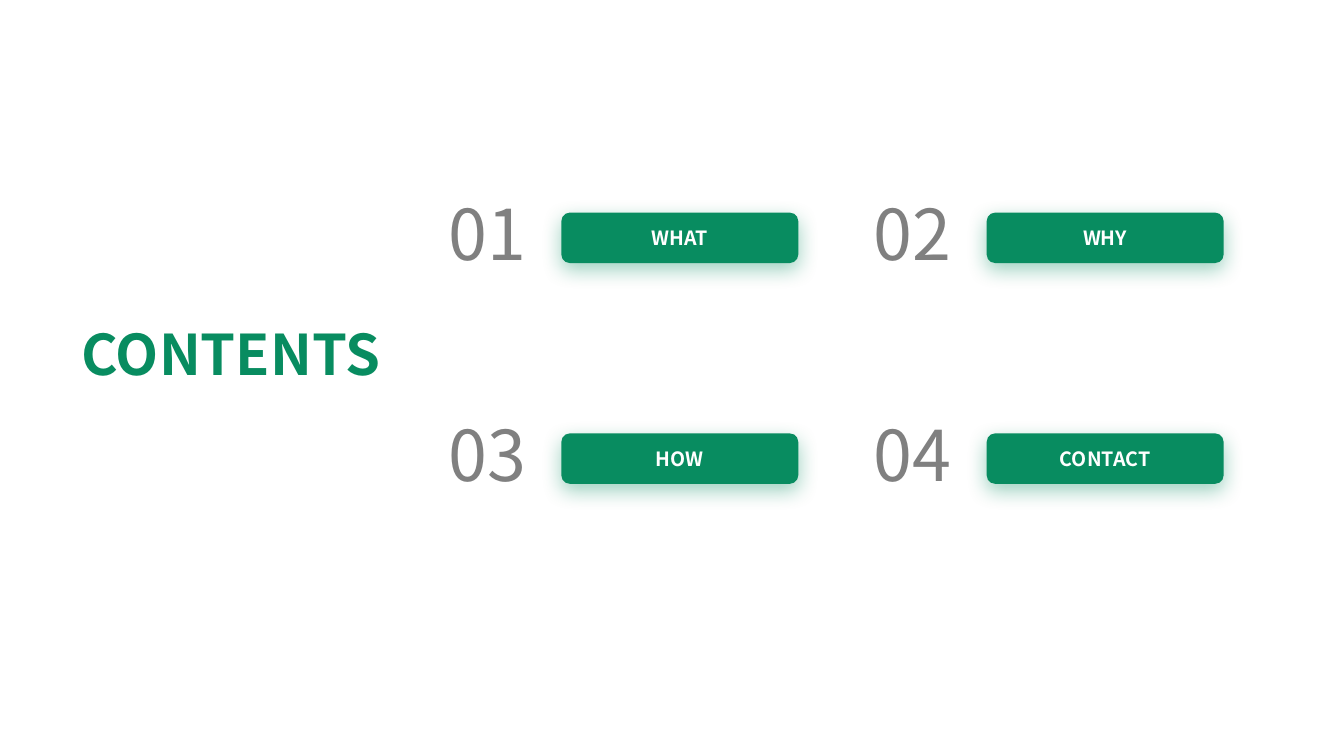
"""Build a contents slide with four numbered sections."""
from lxml.etree import SubElement
from pptx import Presentation
from pptx.dml.color import RGBColor
from pptx.enum.shapes import MSO_SHAPE
from pptx.enum.text import MSO_ANCHOR, MSO_AUTO_SIZE, PP_ALIGN
from pptx.oxml.ns import qn
from pptx.util import Pt

FONT = "Noto Sans CJK SC"
COLORS = {"green": "088C60", "gray": "808080", "white": "FFFFFF"}
SECTIONS = ["WHAT", "WHY", "HOW", "CONTACT"]
LEFT, TOP = 313.2, 132.5
COLUMN_STEP, ROW_STEP = 303.8, 157.7


def set_text(sp, text, size, color, bold=False):
    tf = sp.text_frame
    tf.text = text
    font = tf.paragraphs[0].runs[0].font
    font.name = FONT
    font.size = Pt(size)
    font.bold = bold
    font.color.rgb = RGBColor.from_string(COLORS[color])
    return tf


def add_glow(sp, color):
    sp.shadow.inherit = False
    effects = sp._element.spPr.find(qn("a:effectLst"))
    shadow = SubElement(effects, qn("a:outerShdw"), blurRad=str(Pt(15)),
                        dist=str(Pt(5)), dir="5400000", algn="t", rotWithShape="0")
    tint = SubElement(shadow, qn("a:srgbClr"), val=COLORS[color])
    SubElement(tint, qn("a:alpha"), val="40000")


prs = Presentation()
prs.slide_width, prs.slide_height = Pt(960), Pt(540)
slide = prs.slides.add_slide(prs.slide_layouts[6])

title = slide.shapes.add_textbox(Pt(51.1), Pt(224.6), Pt(244.1), Pt(55.4))
tf = set_text(title, "CONTENTS", 40, "green", bold=True)
tf.word_wrap = True
tf.auto_size = MSO_AUTO_SIZE.SHAPE_TO_FIT_TEXT

for i, section in enumerate(SECTIONS):
    row, column = divmod(i, 2)
    x = LEFT + column * COLUMN_STEP
    y = TOP + row * ROW_STEP

    number = slide.shapes.add_textbox(Pt(x), Pt(y), Pt(74.2), Pt(67.7))
    tf = set_text(number, f"{i + 1:02}", 50, "gray")
    tf.word_wrap = False
    tf.auto_size = MSO_AUTO_SIZE.SHAPE_TO_FIT_TEXT

    button = slide.shapes.add_shape(MSO_SHAPE.ROUNDED_RECTANGLE,
                                    Pt(x + 87.8), Pt(y + 19.4), Pt(169.2), Pt(36))
    button.fill.solid()
    button.fill.fore_color.rgb = RGBColor.from_string(COLORS["green"])
    button.line.fill.background()
    add_glow(button, "green")
    tf = set_text(button, section, 14, "white", bold=True)
    tf.vertical_anchor = MSO_ANCHOR.MIDDLE
    tf.paragraphs[0].alignment = PP_ALIGN.CENTER

prs.save("out.pptx")
